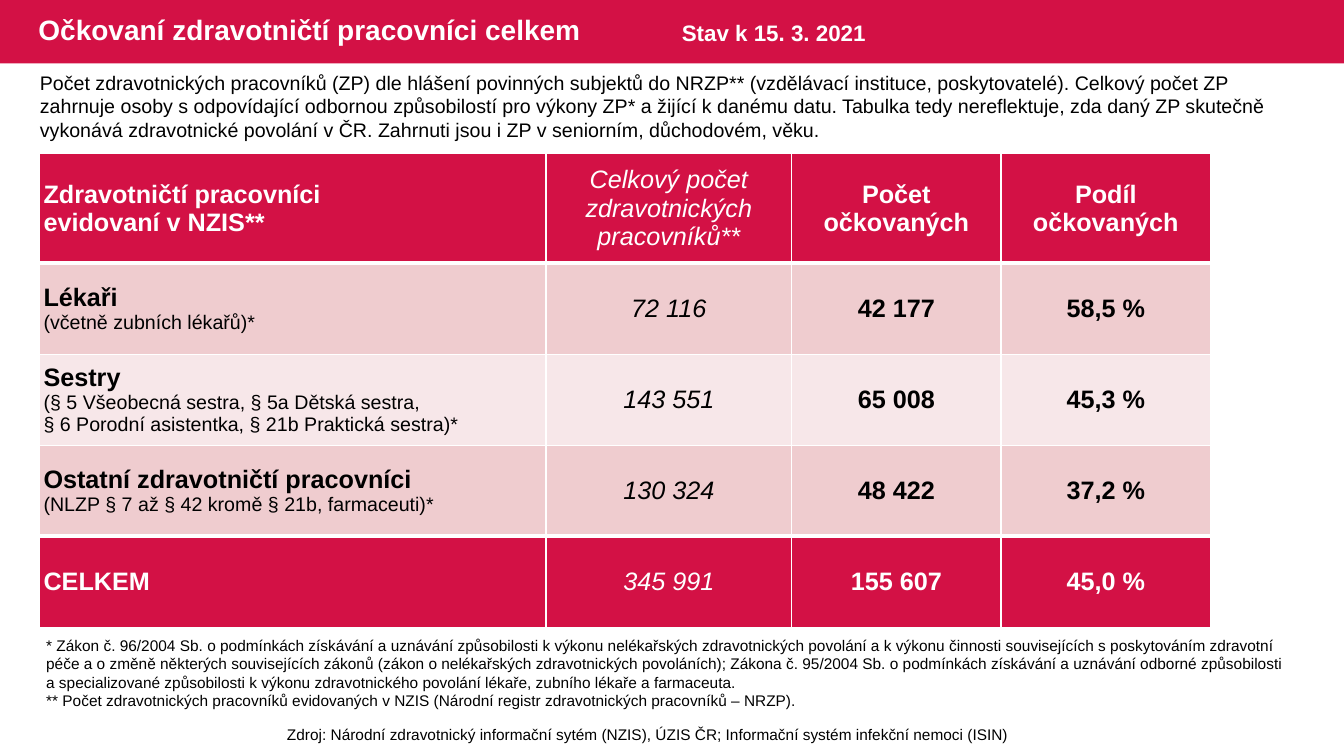
from lxml import etree
from pptx import Presentation
from pptx.dml.color import RGBColor
from pptx.enum.shapes import MSO_SHAPE
from pptx.enum.text import MSO_ANCHOR, MSO_AUTO_SIZE, PP_ALIGN
from pptx.oxml.ns import qn
from pptx.util import Pt

RED = RGBColor(0xD3, 0x11, 0x45)
PINK = RGBColor(0xEF, 0xCC, 0xCF)
PALE = RGBColor(0xF7, 0xE7, 0xE9)
WHITE = RGBColor(0xFF, 0xFF, 0xFF)
BLACK = RGBColor(0, 0, 0)
LEFT, CENTER = PP_ALIGN.LEFT, PP_ALIGN.CENTER
MIDDLE = MSO_ANCHOR.MIDDLE
RECTANGLE = MSO_SHAPE.RECTANGLE
NO_FIT, GROW = MSO_AUTO_SIZE.NONE, MSO_AUTO_SIZE.SHAPE_TO_FIT_TEXT

WIDTH, HEIGHT, BAND = 960, 540, 45.4
COLUMNS = [361.6, 175.5, 149.6, 149.6]
ROWS = [78.4] + [65] * 4
FILLS = [RED, PINK, PALE, PINK, RED]
STRONG = {"size": Pt(18), "bold": True, "italic": False}
SLANTED = {"size": Pt(18), "bold": False, "italic": True}
DETAIL = {"size": Pt(14), "bold": False, "italic": False}
SMALL = {"size": Pt(11)}

TABLE = [
    [["Zdravotničtí pracovníci", "evidovaní v NZIS**"],
     "Celkový počet zdravotnických pracovníků**", "Počet očkovaných", "Podíl očkovaných"],
    [["Lékaři", "(včetně zubních lékařů)*"], "72 116", "42 177", "58,5 %"],
    [["Sestry", "(§ 5 Všeobecná sestra, § 5a Dětská sestra,",
      "§ 6 Porodní asistentka, § 21b Praktická sestra)*"], "143 551", "65 008", "45,3 %"],
    [["Ostatní zdravotničtí pracovníci", "(NLZP § 7 až § 42 kromě § 21b, farmaceuti)*"],
     "130 324", "48 422", "37,2 %"],
    [["CELKEM"], "345 991", "155 607", "45,0 %"],
]
INTRO = (
    "Počet zdravotnických pracovníků (ZP) dle hlášení povinných subjektů do NRZP** "
    "(vzdělávací instituce, poskytovatelé). Celkový počet ZP zahrnuje osoby s odpovídající "
    "odbornou způsobilostí pro výkony ZP* a žijící k danému datu. Tabulka tedy nereflektuje, "
    "zda daný ZP skutečně vykonává zdravotnické povolání v ČR. Zahrnuti jsou i ZP v seniorním, "
    "důchodovém, věku."
)
NOTES = [
    "* Zákon č. 96/2004 Sb. o podmínkách získávání a uznávání způsobilosti k výkonu "
    "nelékařských zdravotnických povolání a k výkonu činnosti souvisejících s poskytováním "
    "zdravotní péče a o změně některých souvisejících zákonů (zákon o nelékařských "
    "zdravotnických povoláních); Zákona č. 95/2004 Sb. o podmínkách získávání a uznávání "
    "odborné způsobilosti a specializované způsobilosti k výkonu zdravotnického povolání "
    "lékaře, zubního lékaře a farmaceuta.",
    "** Počet zdravotnických pracovníků evidovaných v NZIS (Národní registr zdravotnických "
    "pracovníků – NRZP).",
]
SOURCE = ("Zdroj: Národní zdravotnický informační sytém (NZIS), ÚZIS ČR; "
          "Informační systém infekční nemoci (ISIN)")


def set_attributes(target, values):
    """Set every attribute in the dict on the target."""
    for name, value in values.items():
        setattr(target, name, value)


def write(tf, lines, formats, color, align=LEFT):
    """Write one paragraph per line, each with its own font format."""
    for i, (line, fmt) in enumerate(zip(lines, formats)):
        p = tf.add_paragraph() if i else tf.paragraphs[0]
        p.alignment = align
        r = p.add_run()
        r.text = line
        set_attributes(r.font, {"name": "Arial", **fmt})
        r.font.color.rgb = color


def place(shape, left, top, width, height):
    """Move and size a shape in points."""
    set_attributes(shape, {"left": Pt(left), "top": Pt(top),
                           "width": Pt(width), "height": Pt(height)})


def add_text(s, box, lines, fmt, color=BLACK, align=LEFT):
    """Add a wrapping text box."""
    tf = s.shapes.add_textbox(*map(Pt, box)).text_frame
    set_attributes(tf, {"word_wrap": True, "auto_size": GROW})
    write(tf, lines, [fmt] * len(lines), color, align)


def add_header(s):
    """Add the red band and put the title on top of it."""
    band = s.shapes.add_shape(RECTANGLE, 0, 0, Pt(WIDTH), Pt(BAND))
    band.shadow.inherit = False
    band.fill.solid()
    band.fill.fore_color.rgb = RED
    band.line.fill.background()
    title = s.shapes.title
    band.element.addnext(title.element)
    place(title, 20.2, 0, 585, BAND)
    tf = title.text_frame
    set_attributes(tf, {"vertical_anchor": MIDDLE, "word_wrap": True, "auto_size": NO_FIT})
    write(tf, ["Očkovaní zdravotničtí pracovníci celkem"],
          [{"size": Pt(20), "bold": True}], WHITE)
    tf.paragraphs[0].line_spacing = 0.9


def add_borders(cell, top, bottom):
    """Draw white cell borders, one point wide at the sides."""
    tc_pr = cell._tc.get_or_add_tcPr()
    for side, width in {"L": 1, "R": 1, "T": top, "B": bottom}.items():
        line = etree.SubElement(tc_pr, qn(f"a:ln{side}"), w=str(Pt(width)))
        fill = etree.SubElement(line, qn("a:solidFill"))
        etree.SubElement(fill, qn("a:srgbClr"), val=str(WHITE))


def format_cell(cell, row, col):
    """Set the borders, fill, margins and anchor of a cell."""
    last = len(ROWS) - 1
    add_borders(cell, 3 if row in (1, last) else 1, 3 if row in (0, last - 1) else 1)
    cell.fill.solid()
    cell.fill.fore_color.rgb = FILLS[row]
    side = Pt(0.7) if row and col else Pt(2.7)
    set_attributes(cell, {"margin_left": side, "margin_right": side, "margin_top": 0,
                          "margin_bottom": 0, "vertical_anchor": MIDDLE})


def add_staff_table(s):
    """Add the table of vaccinated staff."""
    frame = s.shapes.add_table(len(ROWS), len(COLUMNS), Pt(28.4), Pt(109.7),
                               Pt(sum(COLUMNS)), Pt(sum(ROWS)))
    table = frame.table
    for column, width in zip(table.columns, COLUMNS):
        column.width = Pt(width)
    for row, height in zip(table.rows, ROWS):
        row.height = Pt(height)
    for i, values in enumerate(TABLE):
        color = WHITE if FILLS[i] == RED else BLACK
        for j, value in enumerate(values):
            cell = table.cell(i, j)
            format_cell(cell, i, j)
            if j:
                write(cell.text_frame, [value], [SLANTED if j == 1 else STRONG], color, CENTER)
            else:
                rest = DETAIL if i else STRONG
                write(cell.text_frame, value, [STRONG] + [rest] * (len(value) - 1), color)


def main():
    """Build the slide and save it."""
    prs = Presentation()
    set_attributes(prs, {"slide_width": Pt(WIDTH), "slide_height": Pt(HEIGHT)})
    s = prs.slides.add_slide(prs.slide_layouts[5])
    add_header(s)
    add_text(s, (136.8, 514.6, 652.3, 20.6), [SOURCE], SMALL, align=CENTER)
    add_staff_table(s)
    add_text(s, (480, 10.3, 158.4, 26.7), ["Stav k 15. 3. 2021"],
             {"size": Pt(16), "bold": True}, WHITE)
    add_text(s, (25.9, 450.6, 902.2, 60.6), NOTES, SMALL)
    add_text(s, (21.4, 46.8, 920.9, 58.2), [INTRO], {"size": Pt(14)})
    prs.save("out.pptx")


if __name__ == "__main__":
    main()
